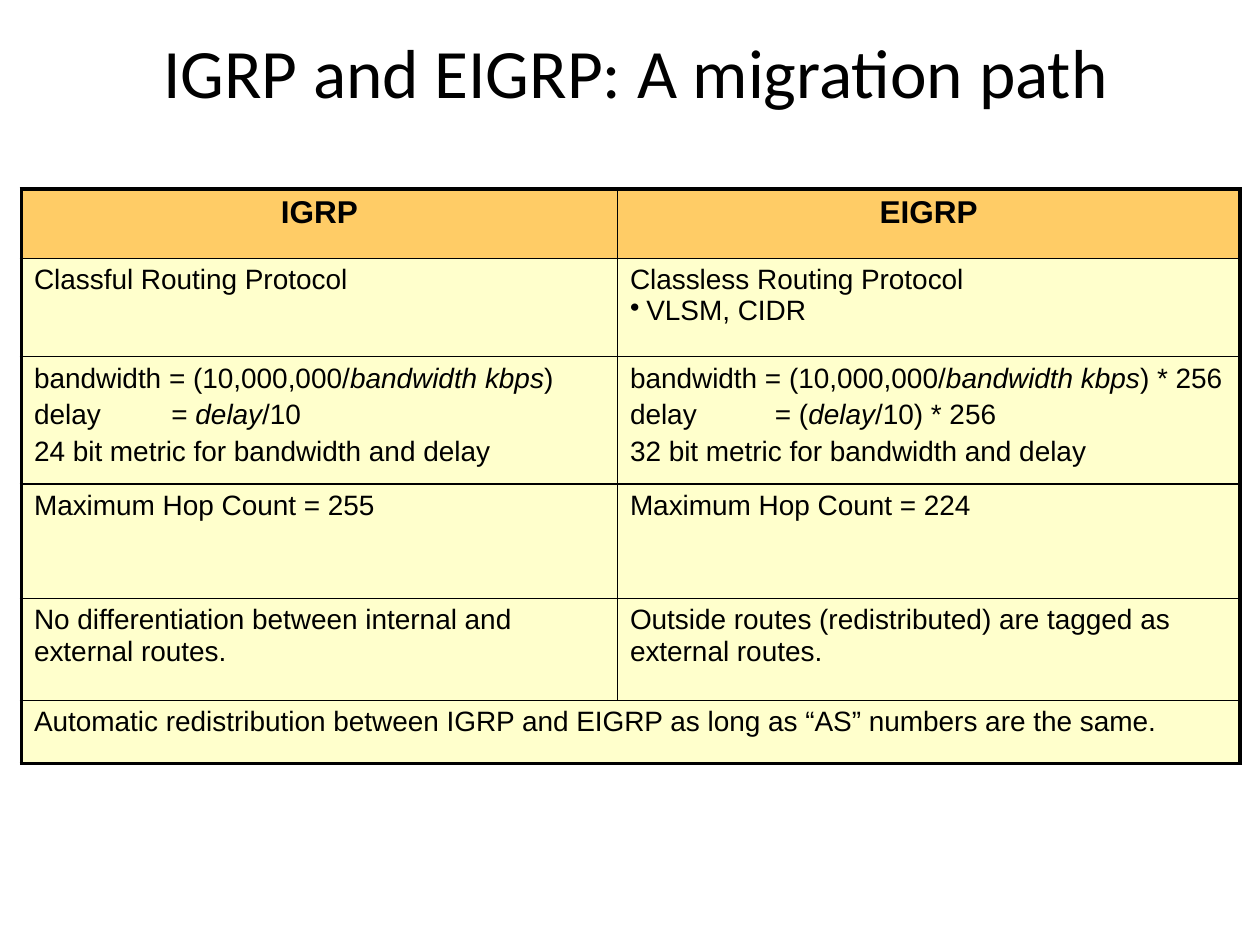
from dataclasses import dataclass

from lxml import etree
from pptx import Presentation
from pptx.dml.color import RGBColor
from pptx.enum.text import MSO_ANCHOR, MSO_AUTO_SIZE, PP_ALIGN
from pptx.oxml.ns import qn
from pptx.util import Inches, Pt

CENTER, LEFT = PP_ALIGN.CENTER, PP_ALIGN.LEFT
MIDDLE, FIXED = MSO_ANCHOR.MIDDLE, MSO_AUTO_SIZE.NONE


@dataclass(frozen=True)
class Theme:
    """Hold the colours, fonts and type sizes."""
    ink: str = "000000"
    head: str = "FFCC66"
    body: str = "FFFFCC"
    face: str = "Calibri"
    font: str = "Arial"
    title: float = 39.6
    label: float = 18
    text: float = 16
    gap: float = 3.2
    thin: float = 1
    thick: float = 2.25


THEME = Theme()
COLS = [4.73, 4.94]
ROWS = [0.55, 0.78, 1.01, 0.91, 0.81, 0.5]
TABS = [1.09, 1.15]
HANG = 0.13

CELLS = [
    [["IGRP"], ["EIGRP"]],
    [["Classful Routing Protocol"],
     ["Classless Routing Protocol", "• VLSM, CIDR"]],
    [["bandwidth = (10,000,000/*bandwidth kbps*)",
      "delay\t= *delay*/10",
      "24 bit metric for bandwidth and delay"],
     ["bandwidth = (10,000,000/*bandwidth kbps*) * 256",
      "delay\t= (*delay*/10) * 256",
      "32 bit metric for bandwidth and delay"]],
    [["Maximum Hop Count = 255"], ["Maximum Hop Count = 224"]],
    [["No differentiation between internal and external routes."],
     ["Outside routes (redistributed) are tagged as external routes."]],
    [["Automatic redistribution between IGRP and EIGRP as long as "
      "“AS” numbers are the same."]],
]


def style(font, **form):
    """Apply format values to a font."""
    for key, val in form.items():
        setattr(font, key, val)
    font.color.rgb = RGBColor.from_string(THEME.ink)


def edge(cell, sides):
    """Draw the cell borders in the widths given by side."""
    props = cell._tc.get_or_add_tcPr()
    for side, width in sides.items():
        line = etree.SubElement(props, qn(f"a:ln{side}"), w=str(Pt(width)))
        fill = etree.SubElement(line, qn("a:solidFill"))
        etree.SubElement(fill, qn("a:srgbClr"), val=THEME.ink)


def write(para, text, tab, **form):
    """Write one line with its bullet, tab stop and italic parts."""
    props = para._p.get_or_add_pPr()
    if text.startswith("• "):
        text = text[2:]
        props.set("marL", str(Inches(HANG)))
        props.set("indent", str(-Inches(HANG)))
        etree.SubElement(props, qn("a:buChar"), char="•")
    if "\t" in text:
        stops = etree.SubElement(props, qn("a:tabLst"))
        etree.SubElement(stops, qn("a:tab"), pos=str(Inches(tab)), algn="l")
    parts = text.split("*", 2)
    for pos, part in enumerate(parts):
        run = para.add_run()
        run.text = part
        style(run.font, italic=pos == 1, **form)


def fill_cell(cell, lines, tab, head):
    """Colour a cell and write its lines."""
    cell.fill.solid()
    cell.fill.fore_color.rgb = RGBColor.from_string(
        THEME.head if head else THEME.body)
    form = {"name": THEME.font, "bold": head,
            "size": Pt(THEME.label if head else THEME.text)}
    frame = cell.text_frame
    for pos, text in enumerate(lines):
        para = frame.add_paragraph() if pos else frame.paragraphs[0]
        para.alignment = CENTER if head else LEFT
        if pos and len(lines) > 2:
            para.space_before = Pt(THEME.gap)
        write(para, text, tab, **form)


def add_title(slide, box, text):
    """Place the title in its box."""
    shape = slide.shapes.title
    for key, val in zip(("left", "top", "width", "height"), box):
        setattr(shape, key, Inches(val))
    frame = shape.text_frame
    form = {"text": text, "word_wrap": True, "auto_size": FIXED,
            "vertical_anchor": MIDDLE}
    for key, val in form.items():
        setattr(frame, key, val)
    para = frame.paragraphs[0]
    para.alignment = CENTER
    style(para.runs[0].font, name=THEME.face, size=Pt(THEME.title))


def add_grid(slide, box):
    """Place the protocol table in its box."""
    frame = slide.shapes.add_table(
        len(ROWS), len(COLS), *(Inches(val) for val in box))
    table = frame.table
    table.first_row = table.horz_banding = False
    for col, width in zip(table.columns, COLS):
        col.width = Inches(width)
    for row, height in zip(table.rows, ROWS):
        row.height = Inches(height)
    for r, row in enumerate(CELLS):
        if len(row) < len(COLS):
            table.cell(r, 0).merge(table.cell(r, len(COLS) - 1))
        for c, lines in enumerate(row):
            cell = table.cell(r, c)
            outer = {"L": c == 0, "R": c == len(row) - 1,
                     "T": r == 0, "B": r == len(ROWS) - 1}
            edge(cell, {side: THEME.thick if out else THEME.thin
                        for side, out in outer.items()})
            fill_cell(cell, lines, TABS[c], r == 0)


def main():
    """Build and save the slide."""
    deck = Presentation()
    deck.slide_width, deck.slide_height = Inches(10), Inches(7.5)
    slide = deck.slides.add_slide(deck.slide_layouts[5])
    add_title(slide, (0.42, 0.39, 9.25, 0.34),
              "IGRP and EIGRP: A migration path")
    add_grid(slide, (0.17, 1.5, sum(COLS), sum(ROWS)))
    deck.save("out.pptx")


if __name__ == "__main__":
    main()
